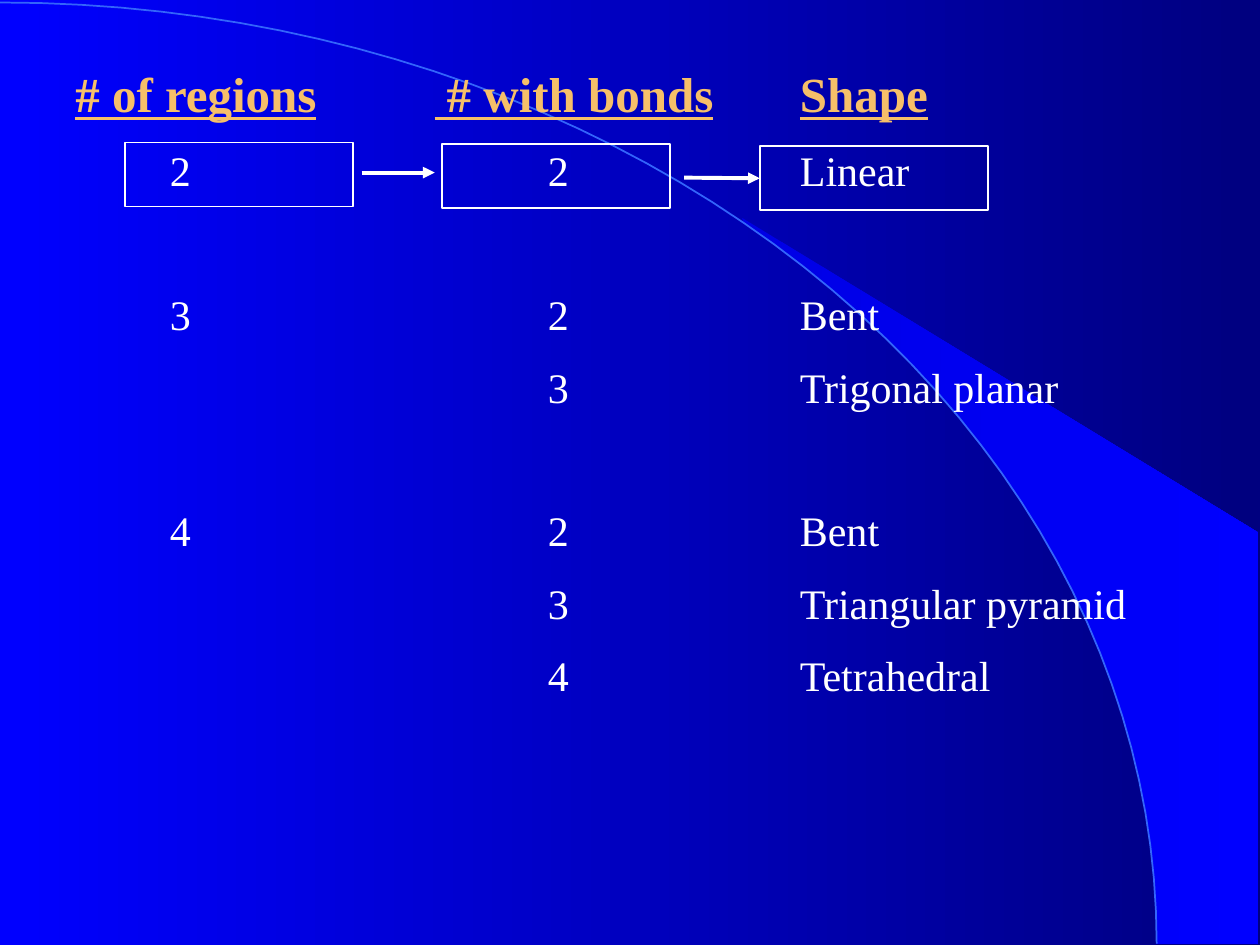
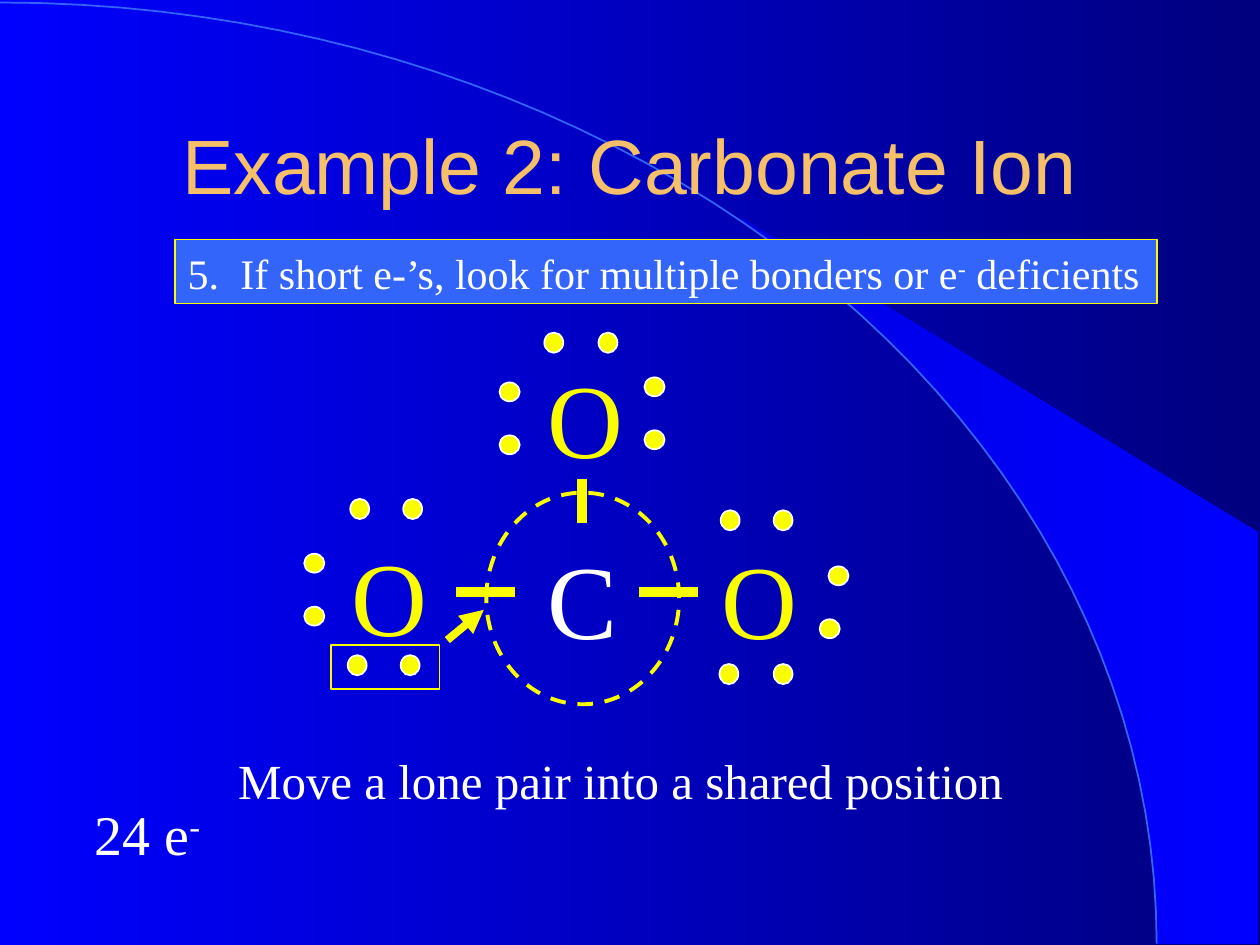
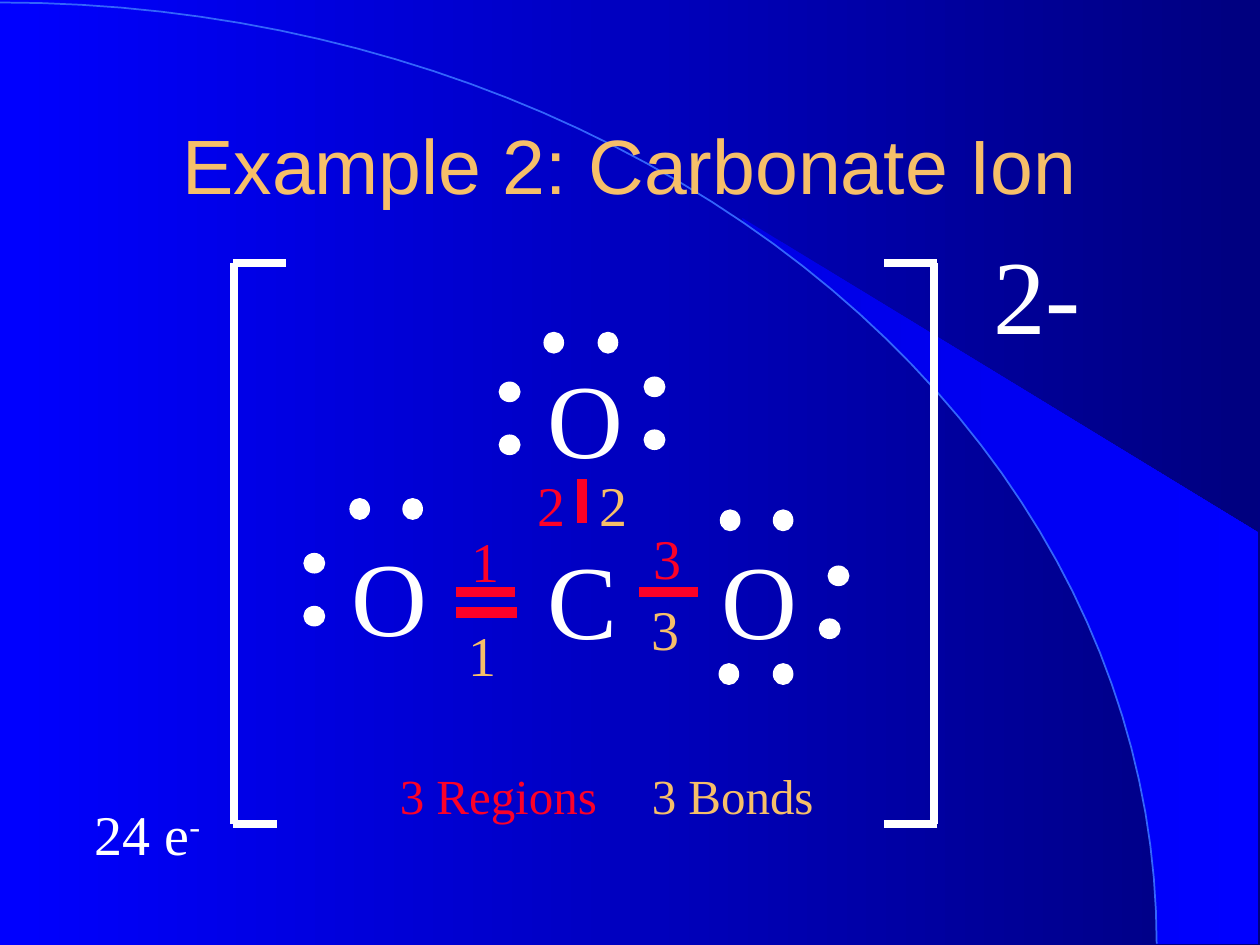
from dataclasses import dataclass
from math import cos, radians, sin

from lxml.etree import SubElement
from pptx import Presentation
from pptx.dml.color import RGBColor
from pptx.enum.dml import MSO_LINE
from pptx.enum.shapes import MSO_CONNECTOR, MSO_SHAPE
from pptx.enum.text import MSO_ANCHOR, PP_ALIGN
from pptx.oxml.ns import qn
from pptx.util import Inches, Pt


@dataclass(frozen=True)
class Theme:
    blue: RGBColor = RGBColor.from_string("0000FF")
    navy: RGBColor = RGBColor.from_string("00007F")
    wedge: RGBColor = RGBColor.from_string("0000E5")
    sky: RGBColor = RGBColor.from_string("3365FB")
    white: RGBColor = RGBColor.from_string("FFFFFF")
    gold: RGBColor = RGBColor.from_string("F6BF69")
    yellow: RGBColor = RGBColor.from_string("FAFD00")
    red: RGBColor = RGBColor.from_string("FC0128")
    serif: str = "Times New Roman"
    sans: str = "Arial"
    body: int = 24
    caption: int = 28
    label: int = 32
    title: int = 44
    atom: int = 60


T = Theme()
LEFT, CENTER = PP_ALIGN.LEFT, PP_ALIGN.CENTER


def add_text(s, paras, at, size=T.body, color=T.white, font=T.serif, align=CENTER,
             anchor=MSO_ANCHOR.TOP, lead=0.0007, fill=None, outline=None):
    """Each paragraph is (runs, tab stops, points before); each run is (text, format).

    A plain string stands for one paragraph of one run. lead is the extra top
    inset, in inches per point of type.
    """
    tb = s.shapes.add_textbox(*map(Inches, at))
    if fill is not None:
        tb.fill.solid()
        tb.fill.fore_color.rgb = fill
    if outline is not None:
        tb.line.color.rgb = outline
        tb.line.width = Pt(1)
    tf = tb.text_frame
    tf.word_wrap = True
    tf.vertical_anchor = anchor
    tf.margin_top = Inches(0.05 + lead * size)
    if isinstance(paras, str):
        paras = [([(paras, {})], [], 0)]
    for i, (runs, tabs, before) in enumerate(paras):
        p = tf.paragraphs[0] if i == 0 else tf.add_paragraph()
        p.alignment = align
        p.space_before = Pt(before)
        if tabs:
            tab_list = SubElement(p._p.get_or_add_pPr(), qn("a:tabLst"))
            for stop in tabs:
                SubElement(tab_list, qn("a:tab"), pos=str(Inches(stop)), algn="l")
        for text, fmt in runs:
            r = p.add_run()
            r.text = text
            r.font.name = font
            r.font.size = Pt(fmt.get("size", size))
            r.font.color.rgb = fmt.get("color", color)
            if fmt.get("heading"):
                r.font.bold = r.font.underline = True
            if fmt.get("sup"):
                r._r.get_or_add_rPr().set("baseline", "30000")
    return tb


def add_line(s, x1, y1, x2, y2, color, width, arrow=False):
    c = s.shapes.add_connector(MSO_CONNECTOR.STRAIGHT, *map(Inches, (x1, y1, x2, y2)))
    c.line.color.rgb = color
    c.line.width = Pt(width)
    if arrow:
        SubElement(c.line._get_or_add_ln(), qn("a:tailEnd"), type="triangle")
    SubElement(c._element.spPr, qn("a:effectLst"))
    return c


prs = Presentation()
prs.slide_width, prs.slide_height = Inches(10), Inches(7.5)

# Shared backdrop: gradient, bright wedge and a quarter-ellipse arc
arc = [(9.18 * sin(radians(a)), 7.49 - 7.47 * cos(radians(a))) for a in range(0, 91, 2)]
wedge = [(9.99, 7.49), (9.99, 4.23), (5.89, 1.73)] + arc[20:]
slides = []
for _ in range(3):
    s = prs.slides.add_slide(prs.slide_layouts[6])
    slides.append(s)
    fills = [(s.background.fill, T.blue, T.navy)]
    for points, closed in ((wedge, True), (arc, False)):
        points = [(Inches(x), Inches(y)) for x, y in points]
        fb = s.shapes.build_freeform(*points[0])
        fb.add_line_segments(points[1:], close=closed)
        sp = fb.convert_to_shape()
        sp.shadow.inherit = False
        if closed:
            fills.append((sp.fill, T.wedge, T.blue))
            sp.line.fill.background()
        else:
            sp.fill.background()
            sp.line.color.rgb = T.sky
            sp.line.width = Pt(1)
    for fill, start, end in fills:
        fill.gradient()
        fill.gradient_angle = 0
        for stop, color in zip(fill.gradient_stops, (start, end)):
            stop.color.rgb = color
regions_slide, lone_pair_slide, result_slide = slides

# Slide 1: regions, bonds and shapes
gap, group_gap = 12.6, 53.4
heading = {"size": T.caption, "color": T.gold, "heading": True}
shape_rows = [
    ("2", "2", "Linear"),
    ("3", "2", "Bent"),
    ("", "3", "Trigonal planar"),
    ("4", "2", "Bent"),
    ("", "3", "Triangular pyramid"),
    ("", "4", "Tetrahedral"),
]
paras = [([("\t# of regions\t # with bonds\tShape", heading)], [0.25, 3.1, 6], 0)]
for i, (regions, bonds, shape) in enumerate(shape_rows):
    before = group_gap if regions and i else gap
    paras.append(([(f"\t{regions}\t{bonds}\t{shape}", {})], [1, 4, 6], before))
add_text(regions_slide, paras, (0.25, 0.44, 9.28, 5.36), align=LEFT)

outlines = [(regions_slide, MSO_SHAPE.RECTANGLE, (x, y, 1.81, 0.51), T.white, 1)
            for x, y in ((0.99, 1.13), (3.51, 1.14), (6.03, 1.16))]
outlines += [
    (lone_pair_slide, MSO_SHAPE.OVAL, (3.86, 3.91, 1.53, 1.68), T.yellow, 2.25),
    (lone_pair_slide, MSO_SHAPE.RECTANGLE, (2.63, 5.12, 0.86, 0.35), T.yellow, 1),
]
frames = []
for s, kind, at, color, width in outlines:
    sp = s.shapes.add_shape(kind, *map(Inches, at))
    sp.shadow.inherit = False
    sp.fill.background()
    sp.line.color.rgb = color
    sp.line.width = Pt(width)
    if kind == MSO_SHAPE.OVAL:
        sp.line.dash_style = MSO_LINE.DASH
    frames.append(sp)
add_line(regions_slide, 2.87, 1.37, 3.45, 1.37, T.white, 2.25, arrow=True)
to_shape = add_line(regions_slide, 5.43, 1.41, 6.03, 1.41, T.white, 2.25, arrow=True)
to_shape.end_connect(frames[2], 1)

# Slides 2 and 3: the carbonate ion
oxygens = [(2.47, 4.13), (5.41, 4.15), (4.03, 2.71)]
bonds = [(3.62, 4.7, 4.09, 4.7), (5.07, 4.7, 5.54, 4.7), (4.62, 4.15, 4.62, 3.8)]
# Lone pairs: first dot, then the step to the second
lone_pairs = [
    (4.32, 2.64, 0.43, 0), (5.71, 5.27, 0.43, 0), (5.72, 4.05, 0.42, 0),
    (2.78, 3.96, 0.42, 0), (6.51, 4.91, 0.07, -0.42), (5.12, 3.41, 0, -0.42),
    (3.97, 3.45, 0, -0.42), (2.42, 4.81, 0, -0.42),
]
moving_pair = (2.76, 5.2, 0.42, 0)
ions = [
    (lone_pair_slide, T.yellow, T.yellow, bonds, lone_pairs + [moving_pair]),
    (result_slide, T.white, T.red, bonds + [(3.62, 4.86, 4.1, 4.86)], lone_pairs),
]
for s, oxygen_color, bond_color, ion_bonds, pairs in ions:
    add_text(s, "Example 2: Carbonate Ion", (0.75, 0.67, 8.5, 1.25), size=T.title,
             color=T.gold, font=T.sans, anchor=MSO_ANCHOR.MIDDLE, lead=0)
    add_text(s, "C", (4, 4.15, 1.24, 1.1), size=T.atom)
    for x, y in oxygens:
        add_text(s, "O", (x, y, 1.24, 1.1), size=T.atom, color=oxygen_color)
    for ends in ion_bonds:
        add_line(s, *ends, bond_color, 6)
    for x, y, dx, dy in pairs:
        for n in range(2):
            at = (x + n * dx, y + n * dy, 0.15, 0.16)
            dot = s.shapes.add_shape(MSO_SHAPE.OVAL, *map(Inches, at))
            dot.rotation = 270 if dy else 0
            dot.shadow.inherit = False
            dot.fill.solid()
            dot.fill.fore_color.rgb = oxygen_color
            dot.line.color.rgb = T.white
            dot.line.width = Pt(1)
    add_text(s, [([("24 e", {}), ("-", {"sup": True})], [], 0)],
             (0.42, 6.27, 1.5, 0.63), size=T.label)

# Slide 2: the step being shown
step = [("5.\tIf short e-’s, look for multiple bonders or e", {}),
        ("-", {"sup": True}), (" deficients", {})]
add_text(lone_pair_slide, [(step, [0.42], 0)], (1.39, 1.9, 7.79, 0.51), align=LEFT,
         fill=T.sky, outline=T.yellow)
add_text(lone_pair_slide, "Move a lone pair into a shared position",
         (1.37, 5.89, 7.11, 0.57), size=T.caption)
add_line(lone_pair_slide, 3.55, 5.08, 3.84, 4.84, T.yellow, 4.5, arrow=True)

# Slide 3: brackets, charge and counts
top, bottom = 2.09, 6.54
for spine, corner, top_end, bottom_end in ((1.86, 1.85, 2.27, 2.2), (7.41, 7.44, 7.02, 7.02)):
    add_line(result_slide, spine, top, spine, bottom, T.white, 4.5)
    add_line(result_slide, corner, top, top_end, top, T.white, 4.5)
    add_line(result_slide, corner, bottom, bottom_end, bottom, T.white, 4.5)
add_text(result_slide, "2-", (7.61, 1.73, 1.24, 1.1), size=T.atom)
counts = [("3 Regions\t", {"color": T.red}), ("3 Bonds", {"color": T.gold})]
add_text(result_slide, [(counts, [2], 0)], (2.83, 6.01, 3.97, 0.57), size=T.caption)
region_labels = [(3.64, 4.11), (4.17, 3.66), (5.09, 4.08)]
bond_labels = [(3.62, 4.85), (4.66, 3.66), (5.07, 4.65)]
for color, places in ((T.red, region_labels), (T.gold, bond_labels)):
    for number, (x, y) in enumerate(places, 1):
        add_text(result_slide, str(number), (x, y, 0.53, 0.63), size=T.label,
                 color=color, align=LEFT)

prs.save("out.pptx")
